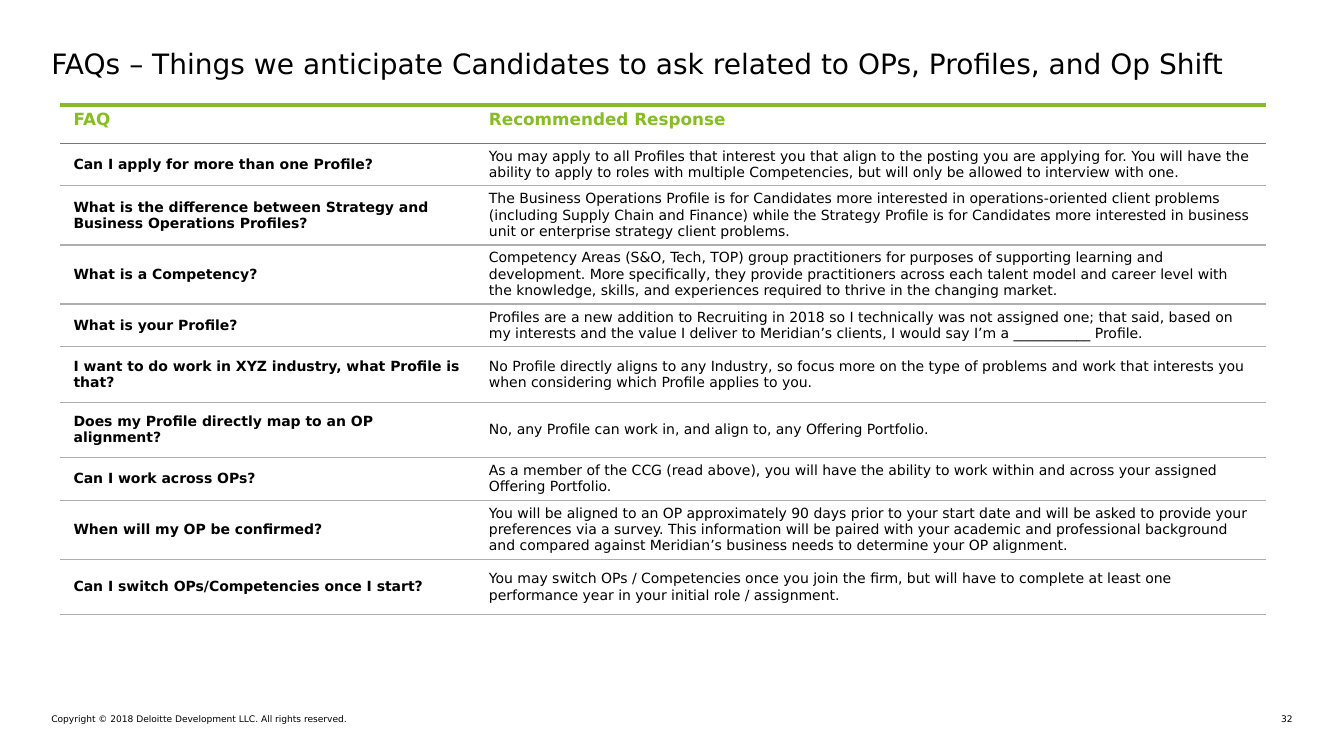
from lxml.etree import SubElement
from pptx import Presentation
from pptx.dml.color import RGBColor
from pptx.enum.text import MSO_ANCHOR, MSO_AUTO_SIZE, PP_ALIGN
from pptx.oxml.ns import qn
from pptx.util import Inches, Pt

BLACK = RGBColor(0x00, 0x00, 0x00)
WHITE = RGBColor(0xFF, 0xFF, 0xFF)
GREEN = RGBColor(0x86, 0xBC, 0x25)
DARK_GREY = RGBColor(0x75, 0x78, 0x7B)
LIGHT_GREY = RGBColor(0xAC, 0xAE, 0xB0)
FONT = "DejaVu Sans"

TITLE = "FAQs – Things we anticipate Candidates to ask related to OPs, Profiles, and Op Shift"
COPYRIGHT = "Copyright © 2018 Deloitte Development LLC. All rights reserved."
HEADINGS = ("FAQ", "Recommended Response")
HEADING_HEIGHT = 0.38
COLUMN_WIDTHS = (4.12, 7.84)
FAQS = [
    (0.42, "Can I apply for more than one Profile?",
     "You may apply to all Profiles that interest you that align to the posting you are applying for. "
     "You will have the ability to apply to roles with multiple Competencies, but will only be allowed "
     "to interview with one."),
    (0.58, "What is the difference between Strategy and Business Operations Profiles?",
     "The Business Operations Profile is for Candidates more interested in operations-oriented client "
     "problems (including Supply Chain and Finance) while the Strategy Profile is for Candidates more "
     "interested in business unit or enterprise strategy client problems."),
    (0.58, "What is a Competency?",
     "Competency Areas (S&O, Tech, TOP) group practitioners for purposes of supporting learning and "
     "development. More specifically, they provide practitioners across each talent model and career "
     "level with the knowledge, skills, and experiences required to thrive in the changing market."),
    (0.42, "What is your Profile?",
     "Profiles are a new addition to Recruiting in 2018 so I technically was not assigned one; that "
     "said, based on my interests and the value I deliver to Meridian’s clients, I would say I’m a "
     "___________ Profile."),
    (0.55, "I want to do work in XYZ industry, what Profile is that?",
     "No Profile directly aligns to any Industry, so focus more on the type of problems and work that "
     "interests you when considering which Profile applies to you."),
    (0.55, "Does my Profile directly map to an OP alignment?",
     "No, any Profile can work in, and align to, any Offering Portfolio."),
    (0.42, "Can I work across OPs?",
     "As a member of the CCG (read above), you will have the ability to work within and across your "
     "assigned Offering Portfolio."),
    (0.58, "When will my OP be confirmed?",
     "You will be aligned to an OP approximately 90 days prior to your start date and will be asked to "
     "provide your preferences via a survey. This information will be paired with your academic and "
     "professional background and compared against Meridian’s business needs to determine your OP "
     "alignment."),
    (0.55, "Can I switch OPs/Competencies once I start?",
     "You may switch OPs / Competencies once you join the firm, but will have to complete at least one "
     "performance year in your initial role / assignment."),
]


def write(tf, text, size, color=BLACK, bold=False, align=PP_ALIGN.LEFT):
    tf.word_wrap = True
    p = tf.paragraphs[0]
    p.text = text
    p.alignment = align
    font = p.runs[0].font
    font.name, font.size, font.bold = FONT, Pt(size), bold
    font.color.rgb = color


def clear_margins(tf):
    tf.margin_left = tf.margin_right = tf.margin_top = tf.margin_bottom = 0


def set_borders(cell, top, bottom):
    tcPr = cell._tc.get_or_add_tcPr()
    for tag in ("a:lnL", "a:lnR"):
        SubElement(SubElement(tcPr, qn(tag), w="0"), qn("a:noFill"))
    for tag, (color, width) in (("a:lnT", top), ("a:lnB", bottom)):
        ln = SubElement(tcPr, qn(tag), w=str(Pt(width)))
        fill = SubElement(ln, qn("a:solidFill"))
        SubElement(fill, qn("a:srgbClr"), val=str(color))


def add_title(s, left, top, width, height):
    title = s.shapes.title
    title.left, title.top = Inches(left), Inches(top)
    title.width, title.height = Inches(width), Inches(height)
    tf = title.text_frame
    clear_margins(tf)
    tf.auto_size = MSO_AUTO_SIZE.NONE
    tf.vertical_anchor = MSO_ANCHOR.MIDDLE
    write(tf, TITLE, 20)


def add_faq_table(s, left, top):
    heights = [HEADING_HEIGHT] + [faq[0] for faq in FAQS]
    table = s.shapes.add_table(
        len(heights), len(COLUMN_WIDTHS), Inches(left), Inches(top),
        Inches(sum(COLUMN_WIDTHS)), Inches(sum(heights))).table
    table.horz_banding = False
    for column, width in zip(table.columns, COLUMN_WIDTHS):
        column.width = Inches(width)
    for row, height in zip(table.rows, heights):
        row.height = Inches(height)

    heading_top, heading_bottom, rule = (GREEN, 3), (DARK_GREY, 0.25), (LIGHT_GREY, 1)
    for i, texts in enumerate([HEADINGS] + [faq[1:] for faq in FAQS]):
        for j, text in enumerate(texts):
            cell = table.cell(i, j)
            cell.margin_left = cell.margin_right = Inches(0.13)
            cell.margin_top = cell.margin_bottom = Inches(0.05)
            if i == 0:
                write(cell.text_frame, text, 12, GREEN, True)
                set_borders(cell, heading_top, heading_bottom)
                cell.fill.background()
            else:
                write(cell.text_frame, text, 10, bold=j == 0)
                cell.text_frame.paragraphs[0].space_after = Pt(4)
                cell.vertical_anchor = MSO_ANCHOR.MIDDLE
                set_borders(cell, heading_bottom if i == 1 else rule, rule)
                cell.fill.solid()
                cell.fill.fore_color.rgb = WHITE


def add_footer(s, left, top, width, height):
    number_width = 0.34
    for text, x, w, align in (
            (COPYRIGHT, left, 5.86, PP_ALIGN.LEFT),
            ("32", left + width - number_width, number_width, PP_ALIGN.RIGHT)):
        tf = s.shapes.add_textbox(Inches(x), Inches(top), Inches(w), Inches(height)).text_frame
        clear_margins(tf)
        write(tf, text, 6.5, align=align)


def main():
    prs = Presentation()
    prs.slide_width, prs.slide_height = Inches(13.33), Inches(7.5)
    s = prs.slides.add_slide(prs.slide_layouts[5])
    add_title(s, 0.51, 0.44, 12.31, 0.37)
    add_faq_table(s, 0.6, 1.04)
    add_footer(s, 0.51, 7.08, 12.31, 0.11)
    prs.save("out.pptx")


if __name__ == "__main__":
    main()
